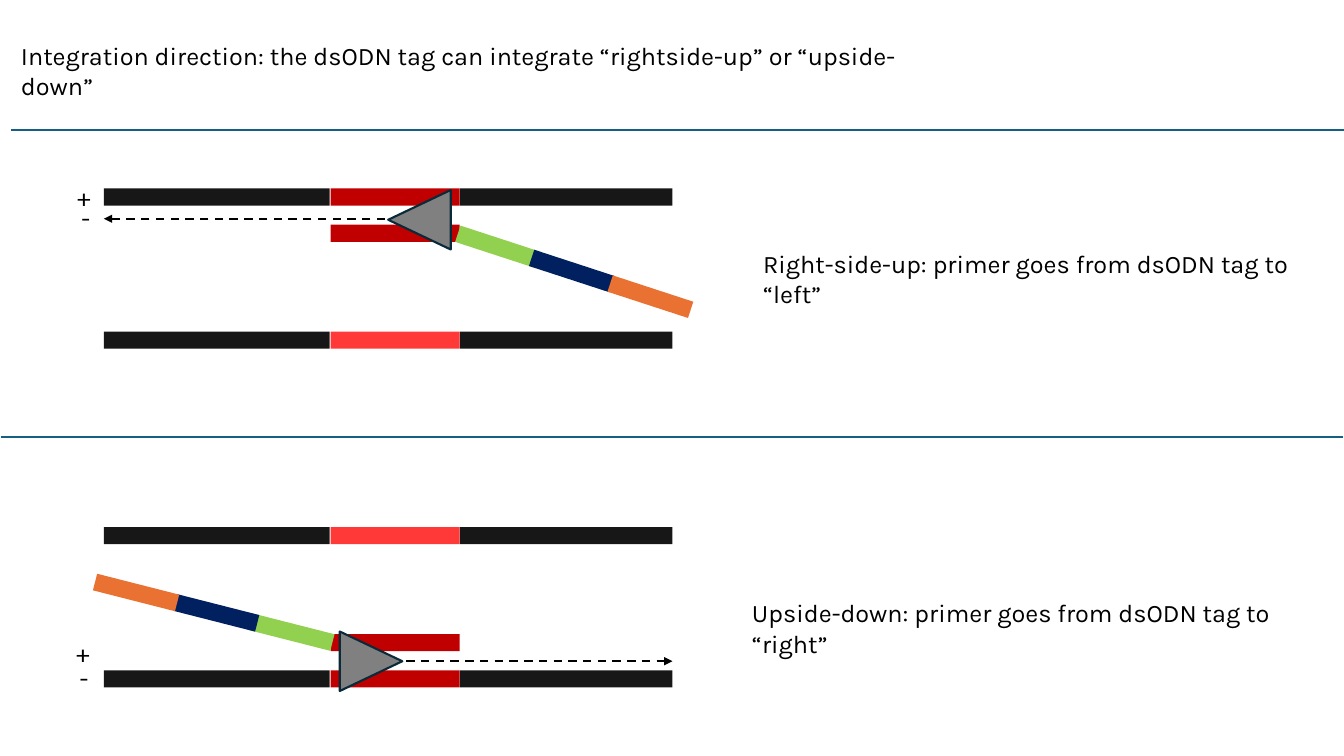
import math
from dataclasses import dataclass

import lxml.etree
import pptx
import pptx.dml.color
import pptx.enum.dml
import pptx.enum.shapes
import pptx.oxml.ns
import pptx.util

Inches = pptx.util.Inches
Pt = pptx.util.Pt
RGBColor = pptx.dml.color.RGBColor
Preset = pptx.enum.shapes.MSO_SHAPE
qn = pptx.oxml.ns.qn

BLACK = RGBColor(0x00, 0x00, 0x00)
GENOME = RGBColor(0x17, 0x17, 0x17)
TAG = RGBColor(0xC0, 0x00, 0x00)
INTACT_TAG = RGBColor(0xFF, 0x00, 0x00)
PRIMER_HEAD = RGBColor(0x80, 0x80, 0x80)
HEAD_OUTLINE = RGBColor(0x09, 0x2A, 0x39)
RULE = RGBColor(0x15, 0x60, 0x82)
TAIL_COLORS = (
    RGBColor(0x92, 0xD0, 0x50),
    RGBColor(0x00, 0x20, 0x60),
    RGBColor(0xE9, 0x71, 0x32),
)

FONT = "Karla"
BAR_HEIGHT = 0.17
STRAND_GAP = 1.42
TAG_LEFT, TAG_WIDTH = 2.25, 1.28
LEFT_ARM, RIGHT_ARM = 2.24, 2.11
SEGMENT_WIDTH = 0.84
SEGMENT_STEPS = (0, 0.77, 1.59)


@dataclass
class Integration:
    caption: str
    caption_box: tuple
    tagged: float
    intact: float
    inner_tag: float
    arrow: tuple
    head_center: tuple
    head_angle: float
    tail_start: tuple
    tail_angle: float
    plus: tuple
    minus: tuple


RIGHT_SIDE_UP = Integration(
    caption="Right-side-up: primer goes from dsODN tag to “left”",
    caption_box=(6.44, 0.54, 5.77),
    tagged=0, intact=STRAND_GAP, inner_tag=0.36,
    arrow=(2.79, 0, 0.3),
    head_center=(3.13, 0.31), head_angle=270,
    tail_start=(3.91, 0.58), tail_angle=18.1,
    plus=(-0.36, -0.12), minus=(-0.32, 0.09),
)
UPSIDE_DOWN = Integration(
    caption="Upside-down: primer goes from dsODN tag to “right”",
    caption_box=(6.33, 0.65, 5.89),
    tagged=STRAND_GAP, intact=0, inner_tag=1.06,
    arrow=(3, 5.64, 1.33),
    head_center=(2.65, 1.33), head_angle=90,
    tail_start=(1.86, 1.04), tail_angle=194.3,
    plus=(-0.37, 1.04), minus=(-0.34, 1.29),
)


def add_text(page, text, left, top, width):
    box = page.shapes.add_textbox(Inches(left), Inches(top), Inches(width), Inches(0.4))
    box.text_frame.word_wrap = True
    para = box.text_frame.paragraphs[0]
    para.text = text
    para.font.name = FONT
    para.font.size = Pt(18)
    para.font.color.rgb = BLACK


def add_block(parent, preset, left, top, width, height, color, angle=0):
    block = parent.shapes.add_shape(
        preset, Inches(left), Inches(top), Inches(width), Inches(height))
    block.shadow.inherit = False
    block.fill.solid()
    block.fill.fore_color.rgb = color
    block.line.fill.background()
    block.rotation = angle
    return block


def add_line(page, start, end, color):
    line = page.shapes.add_connector(
        pptx.enum.shapes.MSO_CONNECTOR.STRAIGHT, *map(Inches, start + end))
    line.line.color.rgb = color
    line.line.width = Pt(1.5)
    lxml.etree.SubElement(line._element.spPr, qn("a:effectLst"))
    return line


def draw_strand(page, left, top, tag_color):
    tag = add_block(page, Preset.RECTANGLE, left + TAG_LEFT, top, TAG_WIDTH, BAR_HEIGHT, tag_color)
    add_block(page, Preset.RECTANGLE, left, top, LEFT_ARM, BAR_HEIGHT, GENOME)
    add_block(page, Preset.RECTANGLE, left + TAG_LEFT + TAG_WIDTH, top,
              RIGHT_ARM, BAR_HEIGHT, GENOME)
    return tag


def draw_primer(page, left, top, case):
    start, end, height = case.arrow
    arrow = add_line(page, (left + start, top + height), (left + end, top + height), BLACK)
    arrow.line.dash_style = pptx.enum.dml.MSO_LINE.DASH
    lxml.etree.SubElement(arrow.line._get_or_add_ln(), qn("a:tailEnd"), type="triangle")

    tail = page.shapes.add_group_shape()
    angle = math.radians(case.tail_angle)
    for step, color in zip(SEGMENT_STEPS, TAIL_COLORS):
        center_x = left + case.tail_start[0] + step * math.cos(angle)
        center_y = top + case.tail_start[1] + step * math.sin(angle)
        add_block(tail, Preset.RECTANGLE, center_x - SEGMENT_WIDTH / 2,
                  center_y - BAR_HEIGHT / 2, SEGMENT_WIDTH, BAR_HEIGHT,
                  color, case.tail_angle)

    width, height = 0.59, 0.62
    head = add_block(page, Preset.ISOSCELES_TRIANGLE,
                     left + case.head_center[0] - width / 2,
                     top + case.head_center[1] - height / 2,
                     width, height, PRIMER_HEAD, case.head_angle)
    head.line.color.rgb = HEAD_OUTLINE
    head.line.width = Pt(1.5)


def draw_integration(page, left, top, case):
    draw_strand(page, left, top + case.tagged, TAG)
    intact = draw_strand(page, left, top + case.intact, INTACT_TAG)
    color = intact._element.spPr.find(qn("a:solidFill"))[0]
    lxml.etree.SubElement(color, qn("a:alpha"), val="78000")
    add_block(page, Preset.RECTANGLE, left + TAG_LEFT, top + case.inner_tag,
              TAG_WIDTH, BAR_HEIGHT, TAG)
    draw_primer(page, left, top, case)
    for sign, (x, y), width in (("+", case.plus, 0.34), ("-", case.minus, 0.29)):
        add_text(page, sign, left + x, top + y, width)
    x, y, width = case.caption_box
    add_text(page, case.caption, left + x, top + y, width)


def draw_header(page, left, top):
    add_text(page, "Integration direction: the dsODN tag can integrate "
                   "“rightside-up” or “upside-down”", left, top, 9.18)
    add_line(page, (left, top + 0.94), (13.33, top + 0.94), RULE)


def main():
    deck = pptx.Presentation()
    deck.slide_width = Inches(13.33)
    deck.slide_height = Inches(7.5)
    page = deck.slides.add_slide(deck.slide_layouts[6])
    draw_header(page, 0.11, 0.35)
    draw_integration(page, 1.03, 1.87, RIGHT_SIDE_UP)
    add_line(page, (0.01, 4.34), (13.32, 4.34), RULE)
    draw_integration(page, 1.03, 5.23, UPSIDE_DOWN)
    deck.save("out.pptx")


if __name__ == "__main__":
    main()
